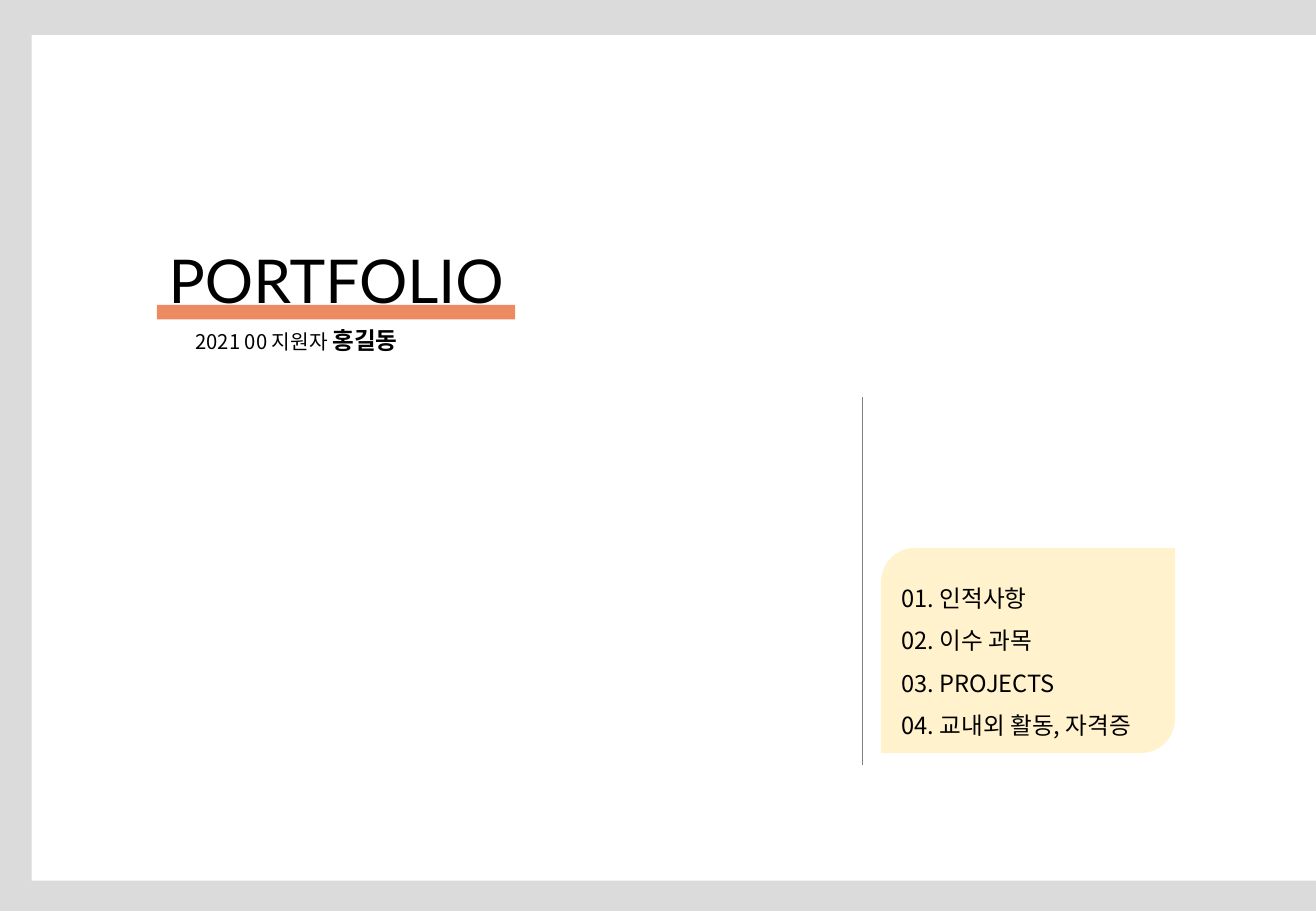
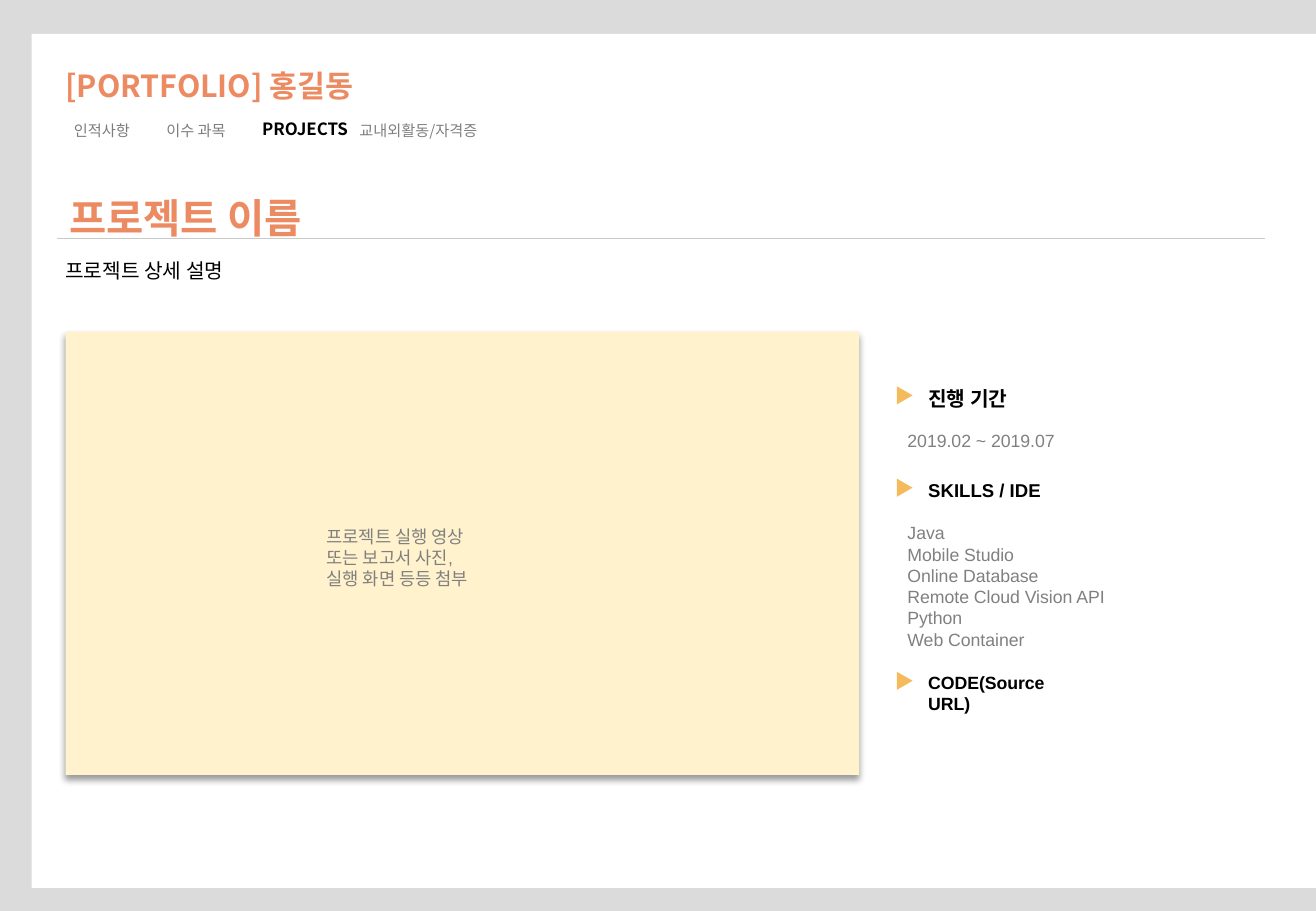
"""Build a two-slide portfolio: a cover with contents and a project page."""
import pptx
import pptx.util
import pptx.dml.color
import pptx.enum.shapes
import pptx.enum.text
import pptx.oxml
import pptx.oxml.ns
import lxml.etree
from dataclasses import dataclass

Inches = pptx.util.Inches
Pt = pptx.util.Pt
SHAPE = pptx.enum.shapes.MSO_SHAPE


@dataclass(frozen=True)
class Theme:
    backdrop: str = "DBDBDB"
    page: str = "FFFFFF"
    accent: str = "EC8A62"
    panel: str = "FFF2CC"
    marker: str = "F4BA5B"
    ink: str = "000000"
    muted: str = "808080"
    tab: str = "7C7C7C"
    rule: str = "C9C9C9"
    korean: str = "Noto Sans CJK KR"
    latin: str = "Arial"
    plain: str = "Calibri"
    display: str = "Lato"
    cover: float = 35.8
    title: float = 24
    header: float = 18
    large: float = 14
    medium: float = 12
    label: float = 11
    body: float = 10.5
    active: float = 10
    small: float = 9


T = Theme()

COVER_TITLE = "PORTFOLIO"
APPLICANT = ("2021 00 지원자 ", "홍길동")
CONTENTS = ["01. 인적사항", "02. 이수 과목", "03. PROJECTS", "04. 교내외 활동, 자격증"]

HEADER = "[PORTFOLIO] 홍길동"
ACTIVE_TAB = "PROJECTS"
TABS = [
    ("인적사항", 0.51, 1.4, T.tab),
    ("이수 과목", 1.27, 0.91, T.tab),
    (ACTIVE_TAB, 2.06, 1.4, T.ink),
    ("교내외활동/자격증", 2.86, 1.31, T.muted),
]
PROJECT_TITLE = "프로젝트 이름"
PROJECT_DETAIL = "프로젝트 상세 설명"
MEDIA_HINT = ["프로젝트 실행 영상", "또는 보고서 사진,", "실행 화면 등등 첨부"]
SECTIONS = [
    (3.13, "진행 기간", T.medium, ["2019.02 ~ 2019.07"], 1.44),
    (3.89, "SKILLS / IDE", T.label,
     ["Java", "Mobile Studio", "Online Database", "Remote Cloud Vision API",
      "Python", "Web Container"], 1.86),
    (5.48, "CODE(Source URL)", T.body, [], 0),
]


def rgb(value):
    return pptx.dml.color.RGBColor.from_string(value)


def add_block(shapes, kind, box, color):
    sp = shapes.add_shape(kind, *map(Inches, box))
    sp.shadow.inherit = False
    sp.fill.solid()
    sp.fill.fore_color.rgb = rgb(color)
    sp.line.fill.background()
    return sp


def add_line(shapes, start, end, color):
    line = shapes.add_connector(pptx.enum.shapes.MSO_CONNECTOR.STRAIGHT,
                                *map(Inches, start + end))
    line.line.color.rgb = rgb(color)
    line.line.width = Pt(0.5)
    lxml.etree.SubElement(line._element.spPr, pptx.oxml.ns.qn("a:effectLst"))


def run(text, size, color=T.ink, font=T.korean, bold=False):
    return text, size, color, font, bold


def add_text(shapes, box, paragraphs, wrap=True, spacing=None):
    tf = shapes.add_textbox(*map(Inches, box)).text_frame
    tf.word_wrap = wrap
    tf.auto_size = pptx.enum.text.MSO_AUTO_SIZE.SHAPE_TO_FIT_TEXT
    for i, runs in enumerate(paragraphs):
        p = tf.add_paragraph() if i else tf.paragraphs[0]
        if spacing:
            p.line_spacing = spacing
        for text, size, color, font, bold in runs:
            r = p.add_run()
            r.text = text
            r.font.size = Pt(size)
            r.font.color.rgb = rgb(color)
            r.font.name = font
            r.font.bold = bold
            ea = lxml.etree.SubElement(r.font._element, pptx.oxml.ns.qn("a:ea"))
            ea.set("typeface", T.korean)


def add_drop_shadow(sp):
    effects = sp._element.spPr.find(pptx.oxml.ns.qn("a:effectLst"))
    effects.append(pptx.oxml.parse_xml(
        f'<a:outerShdw {pptx.oxml.ns.nsdecls("a")} blurRad="{Pt(4)}" dist="{Pt(3)}" '
        'dir="5400000" algn="t" rotWithShape="0">'
        f'<a:srgbClr val="{T.ink}"><a:alpha val="40000"/></a:srgbClr></a:outerShdw>'))


def add_page(prs, top, height):
    s = prs.slides.add_slide(prs.slide_layouts[6])
    s.background.fill.solid()
    s.background.fill.fore_color.rgb = rgb(T.backdrop)
    add_block(s.shapes, SHAPE.RECTANGLE, (0.26, top, 10.58, height), T.page)
    return s.shapes


def build_cover(prs):
    shapes = add_page(prs, 0.29, 6.96)
    add_block(shapes, SHAPE.ROUND_2_DIAG_RECTANGLE, (7.25, 4.51, 2.42, 1.69), T.panel)
    add_block(shapes, SHAPE.RECTANGLE, (1.29, 2.51, 2.95, 0.12), T.accent)
    add_text(shapes, (1.29, 1.95, 2.99, 0.7),
             [[run(COVER_TITLE, T.cover, font=T.display)]], wrap=False)
    role, name = APPLICANT
    add_text(shapes, (1.51, 2.63, 2.03, 0.34),
             [[run(role, T.medium), run(name, T.large, bold=True)]], wrap=False)
    add_line(shapes, (7.1, 3.27), (7.1, 6.3), T.muted)
    add_text(shapes, (7.32, 4.64, 2.28, 1.47),
             [[run(item, T.large)] for item in CONTENTS], spacing=1.5)


def add_section(shapes, top, heading, size, details, width):
    group = shapes.add_group_shape().shapes
    left = 7.37
    marker = add_block(group, SHAPE.ISOSCELES_TRIANGLE, (left, top + 0.06, 0.15, 0.13), T.marker)
    marker.rotation = 90
    add_text(group, (left + 0.17, top, 1.48, 0.3),
             [[run(heading, size, font=T.latin, bold=True)]])
    if details:
        add_text(group, (left, top + 0.36, width, 0.12 + 0.17 * len(details)),
                 [[run(line, T.body, T.muted, T.latin)] for line in details], wrap=False)


def add_header(shapes):
    group = shapes.add_group_shape().shapes
    for label, left, width, color in TABS:
        active = label == ACTIVE_TAB
        add_text(group, (left, 0.93 if active else 0.95, width, 0.25),
                 [[run(label, T.active if active else T.small, color, bold=active)]])
    add_text(group, (0.44, 0.5, 3.04, 0.4), [[run(HEADER, T.header, T.accent, bold=True)]])


def build_project(prs):
    shapes = add_page(prs, 0.28, 7.03)
    add_text(shapes, (0.47, 1.54, 2.55, 0.5),
             [[run(PROJECT_TITLE, T.title, T.accent, bold=True)]])
    add_line(shapes, (0.47, 1.96), (10.41, 1.96), T.rule)
    add_text(shapes, (0.44, 1.98, 9.94, 0.37),
             [[run(PROJECT_DETAIL, T.medium, font=T.plain)]], spacing=1.5)
    for section in SECTIONS:
        add_section(shapes, *section)
    add_header(shapes)
    add_drop_shadow(add_block(shapes, SHAPE.RECTANGLE, (0.54, 2.73, 6.53, 3.65), T.panel))
    add_text(shapes, (2.59, 4.28, 1.54, 0.63),
             [[run(line, T.body, T.muted, T.latin)] for line in MEDIA_HINT], wrap=False)


prs = pptx.Presentation()
prs.slide_width = Inches(10.83)
prs.slide_height = Inches(7.5)
build_cover(prs)
build_project(prs)
prs.save("out.pptx")
